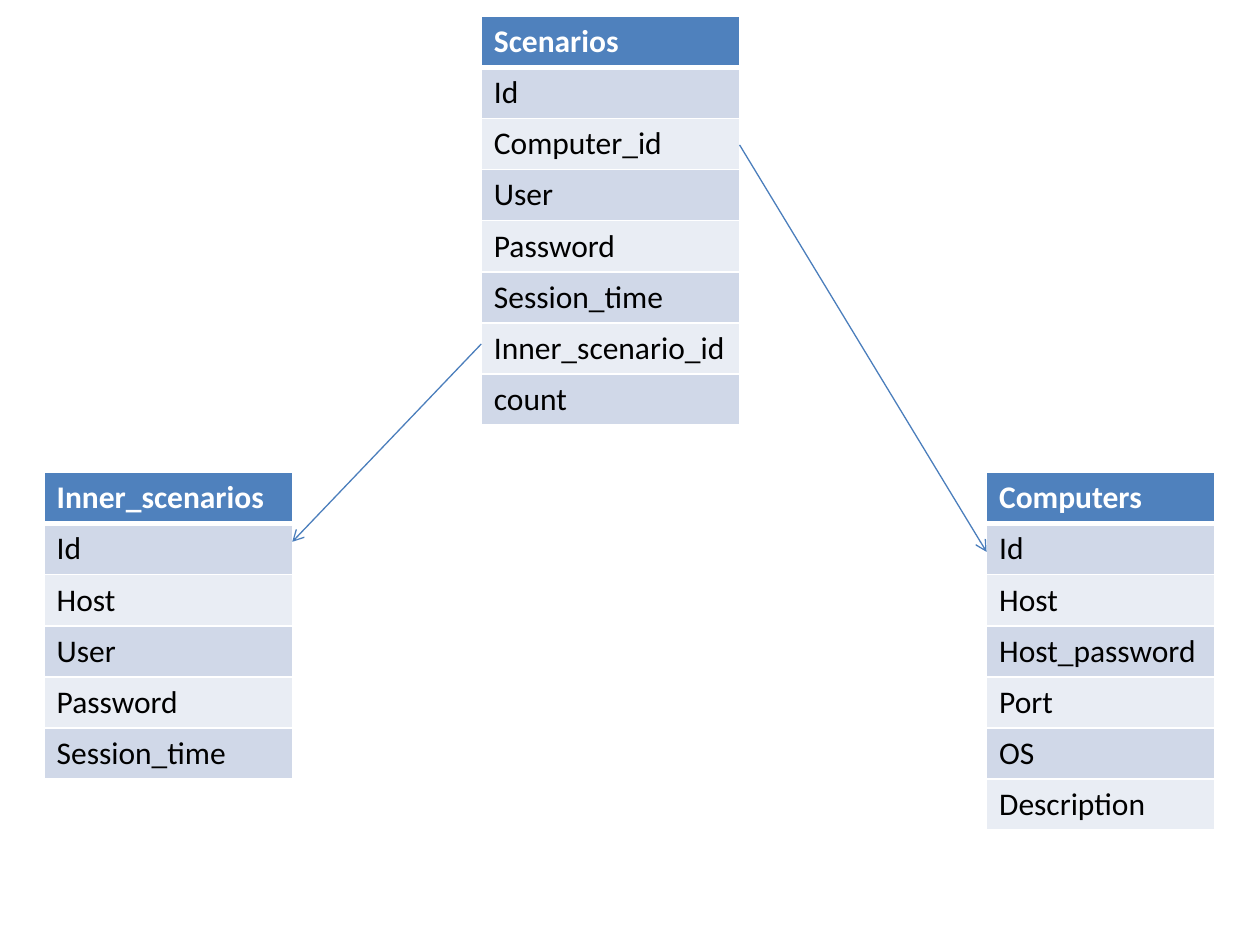
from dataclasses import dataclass

from lxml.etree import SubElement
from pptx import Presentation
from pptx.dml.color import RGBColor as RGB
from pptx.enum.shapes import MSO_CONNECTOR as Connector
from pptx.oxml.ns import qn
from pptx.util import Inches, Pt

# Content: position and width in inches, then the fields of each entity
ENTITIES = {
    "Computers": (7.83, 3.75, 1.81, [
        "Id", "Host", "Host_password", "Port", "OS", "Description"]),
    "Inner_scenarios": (0.35, 3.75, 1.97, [
        "Id", "Host", "User", "Password", "Session_time"]),
    "Scenarios": (3.82, 0.13, 2.05, [
        "Id", "Computer_id", "User", "Password", "Session_time",
        "Inner_scenario_id", "count"]),
}
# Referring entity, its height of departure, target entity, height of arrival
RELATIONS = [
    ("Scenarios", 2.73, "Inner_scenarios", 4.3),
    ("Scenarios", 1.15, "Computers", 4.38),
]
ROW_HEIGHT = 0.4


@dataclass(frozen=True)
class Theme:
    font: str = "Calibri"
    size: int = 18
    header_fill: str = "4F81BD"
    header_text: str = "FFFFFF"
    body_text: str = "000000"
    bands: tuple = ("D0D8E8", "E9EDF4")
    border: str = "FFFFFF"
    thin: float = 1
    thick: float = 3
    arrow: str = "4B7EBC"
    arrow_width: float = 0.75


THEME = Theme()


def add_borders(cell, row):
    """Thin white borders, with a thick rule under the header."""
    widths = {
        "L": THEME.thin,
        "R": THEME.thin,
        "T": THEME.thick if row == 1 else THEME.thin,
        "B": THEME.thick if row == 0 else THEME.thin,
    }
    properties = cell._tc.get_or_add_tcPr()
    for side, width in widths.items():
        border = SubElement(properties, qn(f"a:ln{side}"), w=str(Pt(width)))
        fill = SubElement(border, qn("a:solidFill"))
        SubElement(fill, qn("a:srgbClr"), val=THEME.border)


def add_entity(slide, name, left, top, width, fields):
    labels = [name, *fields]
    table = slide.shapes.add_table(
        len(labels), 1, Inches(left), Inches(top), Inches(width),
        Inches(ROW_HEIGHT * len(labels))).table
    for row, label in enumerate(labels):
        header = row == 0
        cell = table.cell(row, 0)
        add_borders(cell, row)
        cell.fill.solid()
        cell.fill.fore_color.rgb = RGB.from_string(
            THEME.header_fill if header else THEME.bands[(row - 1) % 2])
        run = cell.text_frame.paragraphs[0].add_run()
        run.text = label
        run.font.name = THEME.font
        run.font.size = Pt(THEME.size)
        run.font.bold = header
        run.font.color.rgb = RGB.from_string(
            THEME.header_text if header else THEME.body_text)


def add_relation(slide, source, start_y, target, end_y):
    """Arrow between the facing sides of two entities."""
    source_left, _, source_width, _ = ENTITIES[source]
    target_left, _, target_width, _ = ENTITIES[target]
    if target_left > source_left:
        start_x, end_x = source_left + source_width, target_left
    else:
        start_x, end_x = source_left, target_left + target_width
    arrow = slide.shapes.add_connector(
        Connector.STRAIGHT, Inches(start_x), Inches(start_y),
        Inches(end_x), Inches(end_y))
    arrow.line.color.rgb = RGB.from_string(THEME.arrow)
    arrow.line.width = Pt(THEME.arrow_width)
    SubElement(arrow.line._get_or_add_ln(), qn("a:tailEnd"), type="arrow")
    SubElement(arrow._element.spPr, qn("a:effectLst"))


def main():
    deck = Presentation()
    deck.slide_width, deck.slide_height = Inches(10), Inches(7.5)
    slide = deck.slides.add_slide(deck.slide_layouts[6])

    # Entity tables
    for name, placement in ENTITIES.items():
        add_entity(slide, name, *placement)

    # Foreign-key arrows
    for relation in RELATIONS:
        add_relation(slide, *relation)

    deck.save("out.pptx")


if __name__ == "__main__":
    main()
